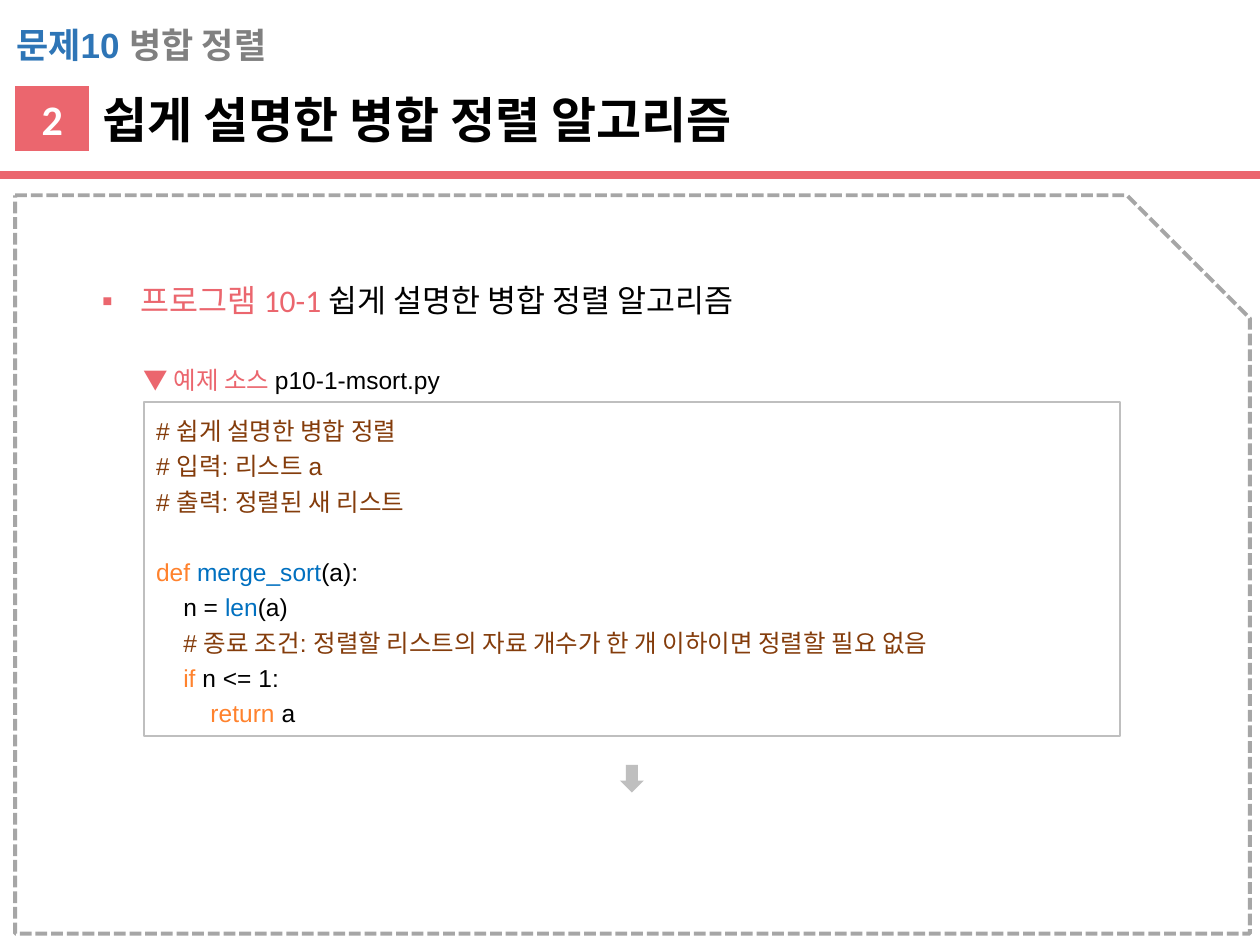
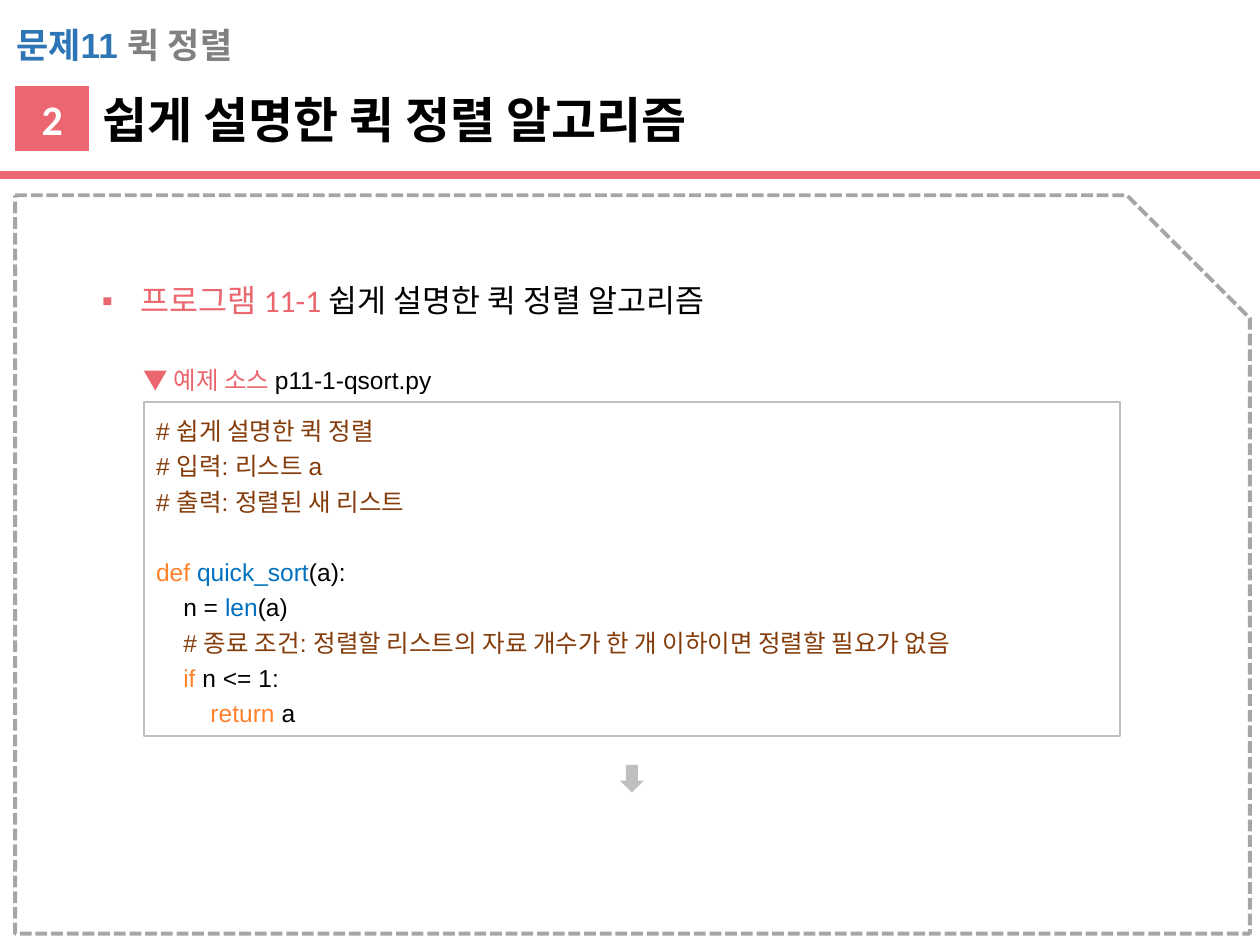
from dataclasses import dataclass

from lxml import etree
from pptx import Presentation
from pptx.dml.color import RGBColor
from pptx.enum.dml import MSO_LINE
from pptx.enum.shapes import MSO_CONNECTOR, MSO_SHAPE
from pptx.enum.text import MSO_ANCHOR, MSO_AUTO_SIZE, PP_ALIGN
from pptx.oxml.ns import qn
from pptx.util import Inches, Pt

SLIDE_WIDTH, SLIDE_HEIGHT = Inches(10), Inches(7.5)
COLUMN, ROW = SLIDE_WIDTH / 100, SLIDE_HEIGHT / 75
TITLE_ONLY = 5

SNIPPED = MSO_SHAPE.SNIP_1_RECTANGLE
PROCESS = MSO_SHAPE.FLOWCHART_PROCESS
RECTANGLE = MSO_SHAPE.RECTANGLE
DOWN_ARROW = MSO_SHAPE.DOWN_ARROW
STRAIGHT = MSO_CONNECTOR.STRAIGHT
SQUARE_DASH = MSO_LINE.SQUARE_DOT
TOP, MIDDLE = MSO_ANCHOR.TOP, MSO_ANCHOR.MIDDLE
LEFT, CENTER = PP_ALIGN.LEFT, PP_ALIGN.CENTER
NO_AUTOFIT = MSO_AUTO_SIZE.NONE

ACCENT, BLUE, GRAY, BLACK, WHITE = "EB666E", "2E75B6", "808080", "000000", "FFFFFF"
FRAME_GRAY, LIGHT_GRAY = "A6A6A6", "BFBFBF"
COMMENT, KEYWORD, NAME = "843C0B", "FF822D", "0070C0"
CODE_LINE_PITCH = 20.2


@dataclass(frozen=True)
class Area:
    column: float
    row: float
    columns: float
    rows: float

    def emu(self) -> tuple[int, int, int, int]:
        return (round(self.column * COLUMN), round(self.row * ROW),
                round(self.columns * COLUMN), round(self.rows * ROW))


@dataclass(frozen=True)
class Lesson:
    number: int
    topic: str
    file_name: str
    function_name: str
    stop_condition: str

    @property
    def heading(self) -> str:
        return f"쉽게 설명한 {self.topic} 알고리즘"


FRAME = Area(1.2, 15.5, 98, 58.6)
CHAPTER = Area(0.3, 1.4, 94.5, 4.4)
BADGE = Area(1.2, 6.8, 5.9, 5.2)
TITLE = Area(7.1, 6.6, 92.1, 5.7)
PROGRAM = Area(7.1, 19.9, 87.7, 6)
SOURCE_LABEL = Area(10.4, 28.5, 34.2, 3.4)
CODE = Area(11.4, 31.9, 77.5, 26.5)
ARROW = Area(49.2, 60.7, 1.9, 2.2)
RULE_ROW = 13.9

LESSONS = (
    Lesson(10, "병합 정렬", "p10-1-msort.py", "merge_sort",
           "정렬할 리스트의 자료 개수가 한 개 이하이면 정렬할 필요 없음"),
    Lesson(11, "퀵 정렬", "p11-1-qsort.py", "quick_sort",
           "정렬할 리스트의 자료 개수가 한 개 이하이면 정렬할 필요가 없음"),
)


def rgb(color: str) -> RGBColor:
    return RGBColor.from_string(color)


def write(paragraph, text: str, *, size: float, color: str = BLACK,
          font: str = "Arial", bold: bool = False) -> None:
    run = paragraph.add_run()
    run.text = text
    run.font.size = Pt(size)
    run.font.name = font
    run.font.bold = bold
    run.font.color.rgb = rgb(color)


def prepare_frame(shape, anchor=TOP, alignment=LEFT):
    frame = shape.text_frame
    frame.word_wrap = True
    frame.auto_size = NO_AUTOFIT
    frame.vertical_anchor = anchor
    frame.paragraphs[0].alignment = alignment
    return frame


def add_label(slide, area: Area):
    return prepare_frame(slide.shapes.add_textbox(*area.emu())).paragraphs[0]


def add_shape(slide, kind, area: Area, *, fill: str = "", line: str = "",
              width: float = 1):
    shape = slide.shapes.add_shape(kind, *area.emu())
    shape.shadow.inherit = False
    if fill:
        shape.fill.solid()
        shape.fill.fore_color.rgb = rgb(fill)
    else:
        shape.fill.background()
    if line:
        shape.line.color.rgb = rgb(line)
        shape.line.width = Pt(width)
    else:
        shape.line.fill.background()
    return shape


def add_rule(slide) -> None:
    height = round(RULE_ROW * ROW)
    rule = slide.shapes.add_connector(STRAIGHT, 0, height, SLIDE_WIDTH, height)
    rule.line.color.rgb = rgb(ACCENT)
    rule.line.width = Pt(4.5)
    etree.SubElement(rule._element.spPr, qn("a:effectLst"))


def add_bullet(paragraph, character: str, color: str, indent: float) -> None:
    properties = paragraph._p.get_or_add_pPr()
    properties.set("marL", str(Inches(indent)))
    properties.set("indent", str(-Inches(indent)))
    bullet_color = etree.SubElement(properties, qn("a:buClr"))
    etree.SubElement(bullet_color, qn("a:srgbClr"), val=color)
    etree.SubElement(properties, qn("a:buFont"), typeface="Arial")
    etree.SubElement(properties, qn("a:buChar"), char=character)


def add_header(slide, lesson: Lesson) -> None:
    frame = add_shape(slide, SNIPPED, FRAME, line=FRAME_GRAY, width=2.25)
    frame.line.dash_style = SQUARE_DASH
    add_rule(slide)

    chapter = add_label(slide, CHAPTER)
    write(chapter, f"문제{lesson.number} ", size=20, color=BLUE, bold=True)
    write(chapter, lesson.topic, size=20, color=GRAY, bold=True)

    badge = add_shape(slide, PROCESS, BADGE, fill=ACCENT)
    number = prepare_frame(badge, MIDDLE, CENTER).paragraphs[0]
    write(number, "2", size=24, color=WHITE, font="Calibri", bold=True)

    title = slide.shapes.title
    title.left, title.top, title.width, title.height = TITLE.emu()
    write(prepare_frame(title).paragraphs[0], lesson.heading, size=28, bold=True)


def code_lines(lesson: Lesson) -> list[list[tuple[str, str]]]:
    return [
        [(f"# 쉽게 설명한 {lesson.topic}", COMMENT)],
        [("# 입력: 리스트 a", COMMENT)],
        [("# 출력: 정렬된 새 리스트", COMMENT)],
        [("def ", KEYWORD), (lesson.function_name, NAME), ("(a):", BLACK)],
        [("    n = ", BLACK), ("len", NAME), ("(a)", BLACK)],
        [(f"    # 종료 조건: {lesson.stop_condition}", COMMENT)],
        [("    if", KEYWORD), (" n <= 1:", BLACK)],
        [("        return", KEYWORD), (" a", BLACK)],
    ]


def add_code(slide, lesson: Lesson) -> None:
    box = add_shape(slide, RECTANGLE, CODE, line=LIGHT_GRAY)
    frame = prepare_frame(box, MIDDLE)
    for index, line in enumerate(code_lines(lesson)):
        paragraph = frame.add_paragraph() if index else frame.paragraphs[0]
        paragraph.alignment = LEFT
        paragraph.line_spacing = 1.2
        if line[0][0].startswith("def"):
            paragraph.space_before = Pt(CODE_LINE_PITCH)
        for text, color in line:
            write(paragraph, text, size=14, color=color)


def add_program(slide, lesson: Lesson) -> None:
    program = add_label(slide, PROGRAM)
    program.line_spacing = 1.65
    add_bullet(program, "▪", ACCENT, 0.31)
    write(program, f"프로그램 {lesson.number}-1 ", size=18, color=ACCENT, font="Calibri")
    write(program, lesson.heading, size=18, font="Calibri")

    add_code(slide, lesson)

    label = add_label(slide, SOURCE_LABEL)
    write(label, "▼ 예제 소스 ", size=14, color=ACCENT)
    write(label, lesson.file_name, size=14)

    add_shape(slide, DOWN_ARROW, ARROW, fill=LIGHT_GRAY)


def main() -> None:
    presentation = Presentation()
    presentation.slide_width, presentation.slide_height = SLIDE_WIDTH, SLIDE_HEIGHT
    for lesson in LESSONS:
        slide = presentation.slides.add_slide(presentation.slide_layouts[TITLE_ONLY])
        add_header(slide, lesson)
        add_program(slide, lesson)
    presentation.save("out.pptx")


if __name__ == "__main__":
    main()
